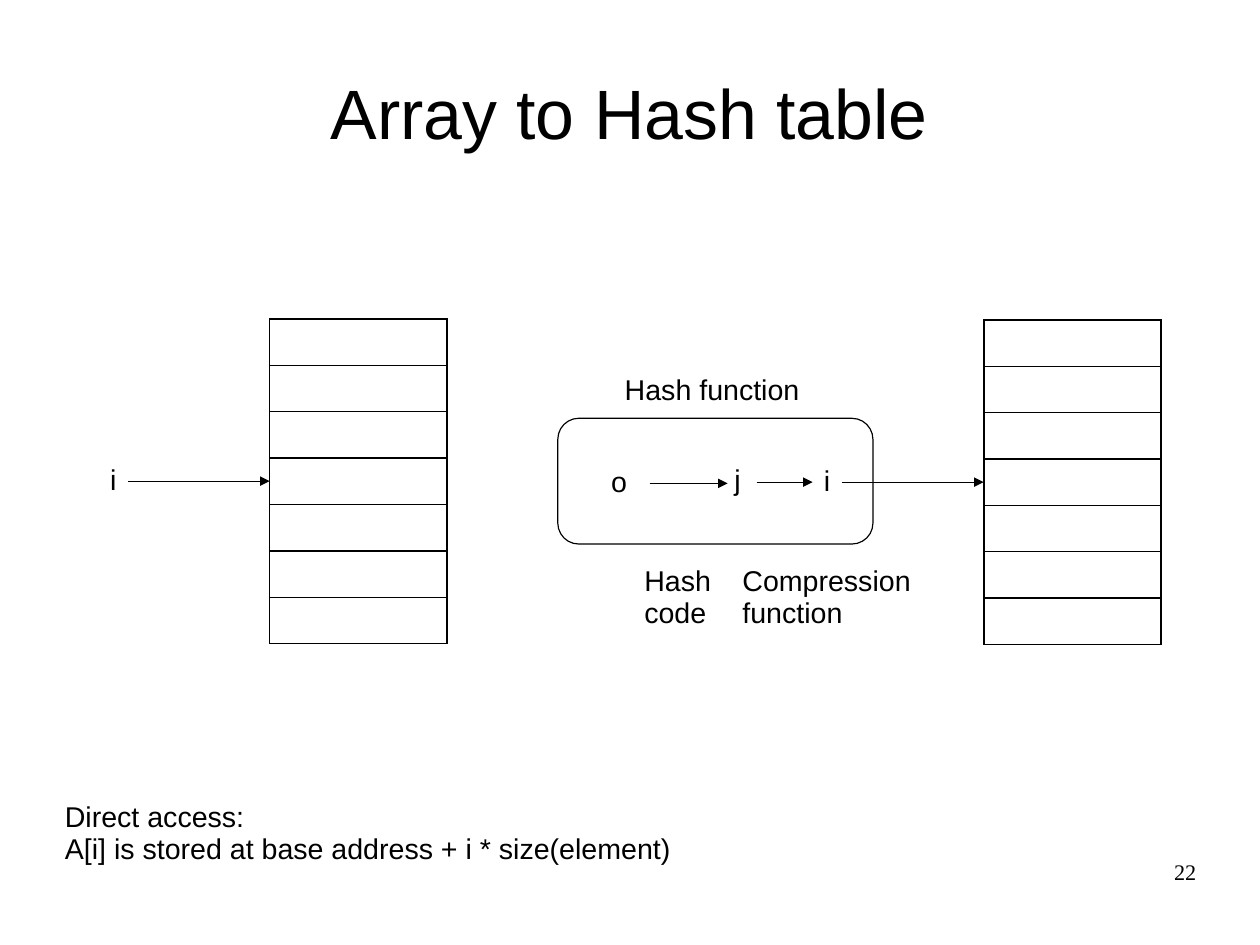
"""Build the slide that leads from direct array access to a hash table."""
from dataclasses import dataclass

from lxml import etree
from pptx import Presentation
from pptx.dml.color import RGBColor
from pptx.enum.shapes import MSO_CONNECTOR, MSO_SHAPE
from pptx.enum.text import MSO_ANCHOR, PP_ALIGN
from pptx.oxml.ns import qn
from pptx.util import Pt

STRAIGHT = MSO_CONNECTOR.STRAIGHT
ROUNDED = MSO_SHAPE.ROUNDED_RECTANGLE
TOP, MIDDLE = MSO_ANCHOR.TOP, MSO_ANCHOR.MIDDLE
LEFT, CENTER, RIGHT = PP_ALIGN.LEFT, PP_ALIGN.CENTER, PP_ALIGN.RIGHT
TITLE_ONLY = 5
SLOTS, SLOT_W, SLOT_H = 7, 111.6, 29.2


@dataclass(frozen=True)
class Theme:
    """Colours, fonts, type sizes and line widths of the slide."""
    ink: str = "000000"
    paper: str = "FFFFFF"
    font: str = "Arial"
    number_font: str = "Times New Roman"
    title: int = 44
    body: int = 18
    number: int = 14
    line: float = 0.75
    border: float = 1
    spacing: float = 0.93


THEME = Theme()


def set_all(obj, values):
    """Set each attribute of obj from a dict."""
    for name, value in values.items():
        setattr(obj, name, value)


def write(tf, text, size=THEME.body, font=THEME.font, align=LEFT, anchor=TOP,
          margins=(7.2, 3.6), wrap=False, spacing=THEME.spacing):
    """Fill a text frame and format its paragraphs and runs."""
    side, edge = map(Pt, margins)
    set_all(tf, {"text": text, "word_wrap": wrap, "vertical_anchor": anchor,
                 "margin_left": side, "margin_right": side,
                 "margin_top": edge, "margin_bottom": edge})
    for p in tf.paragraphs:
        set_all(p, {"alignment": align, "line_spacing": spacing})
        for r in p.runs:
            set_all(r.font, {"size": Pt(size), "name": font})
            r.font.color.rgb = RGBColor.from_string(THEME.ink)


def add_title(slide, text, box):
    """Move, fill and format the title placeholder."""
    sp = slide.shapes.title
    set_all(sp, dict(zip(("left", "top", "width", "height"), map(Pt, box))))
    write(sp.text_frame, text, THEME.title, align=CENTER, anchor=MIDDLE,
          margins=(0, 0), wrap=True)


def add_label(slide, text, box, **fmt):
    """Add a text box."""
    sp = slide.shapes.add_textbox(*map(Pt, box))
    write(sp.text_frame, text, **fmt)


def add_border(cell):
    """Draw a solid line on all four sides of a table cell."""
    tc_pr = cell._tc.get_or_add_tcPr()
    for side in ("a:lnL", "a:lnR", "a:lnT", "a:lnB"):
        ln = etree.SubElement(tc_pr, qn(side), w=str(Pt(THEME.border)))
        fill = etree.SubElement(ln, qn("a:solidFill"))
        etree.SubElement(fill, qn("a:srgbClr"), val=THEME.ink)


def add_array(slide, x, y):
    """Add a one-column table of empty slots."""
    box = (x, y, SLOT_W, SLOTS * SLOT_H)
    table = slide.shapes.add_table(SLOTS, 1, *map(Pt, box)).table
    set_all(table, {"first_row": False, "horz_banding": False})
    for row in table.rows:
        row.height = Pt(SLOT_H)
        add_border(row.cells[0])
        row.cells[0].fill.background()


def style_line(line):
    """Apply the thin ink line."""
    line.width = Pt(THEME.line)
    line.color.rgb = RGBColor.from_string(THEME.ink)


def add_arrow(slide, x1, x2, y):
    """Add a horizontal arrow that points to x2."""
    cxn = slide.shapes.add_connector(STRAIGHT, *map(Pt, (x1, y, x2, y)))
    style_line(cxn.line)
    etree.SubElement(cxn.line._get_or_add_ln(), qn("a:tailEnd"), type="triangle")
    etree.SubElement(cxn._element.spPr, qn("a:effectLst"))


def add_frame(slide, box):
    """Add an unfilled rounded rectangle."""
    sp = slide.shapes.add_shape(ROUNDED, *map(Pt, box))
    sp.shadow.inherit = False
    sp.fill.background()
    style_line(sp.line)


def main():
    """Compose and save the slide."""
    prs = Presentation()
    set_all(prs, {"slide_width": Pt(793.75), "slide_height": Pt(595.25)})
    slide = prs.slides.add_slide(prs.slide_layouts[TITLE_ONLY])
    slide.background.fill.solid()
    slide.background.fill.fore_color.rgb = RGBColor.from_string(THEME.paper)

    add_title(slide, "Array to Hash table", (39.6, 23.4, 714.2, 99.4))
    for x, y in ((169.9, 201), (619.8, 201.6)):
        add_array(slide, x, y)
    add_frame(slide, (351.4, 263.5, 198.5, 79.2))
    for x1, x2, y in ((80.8, 169.9, 303.1), (409.2, 458.4, 304.5),
                      (476.6, 511.9, 303.7), (530.6, 619.7, 303.7)):
        add_arrow(slide, x1, x2, y)
    for text, box in (
            ("i", (62.4, 289.4, 18.7, 27.4)),
            ("o", (378, 290.6, 24.5, 27.4)),
            ("j", (455.6, 289.4, 18.7, 27.4)),
            ("i", (512, 289.7, 18.7, 27.4)),
            ("Hash function", (386.5, 232.6, 125.3, 27.4)),
            ("Hash\ncode", (398.8, 352.8, 56.9, 47.5)),
            ("Compression\vfunction", (460.6, 352.8, 121.7, 47.5)),
            ("Direct access:\nA[i] is stored at base address + i * size(element)",
             (33.8, 501.5, 399.6, 47.5))):
        add_label(slide, text, box)
    add_label(slide, "22", (568.8, 542, 184.8, 41), size=THEME.number,
              font=THEME.number_font, align=RIGHT, margins=(0, 0), wrap=True,
              spacing=0.95)
    prs.save("out.pptx")


if __name__ == "__main__":
    main()
